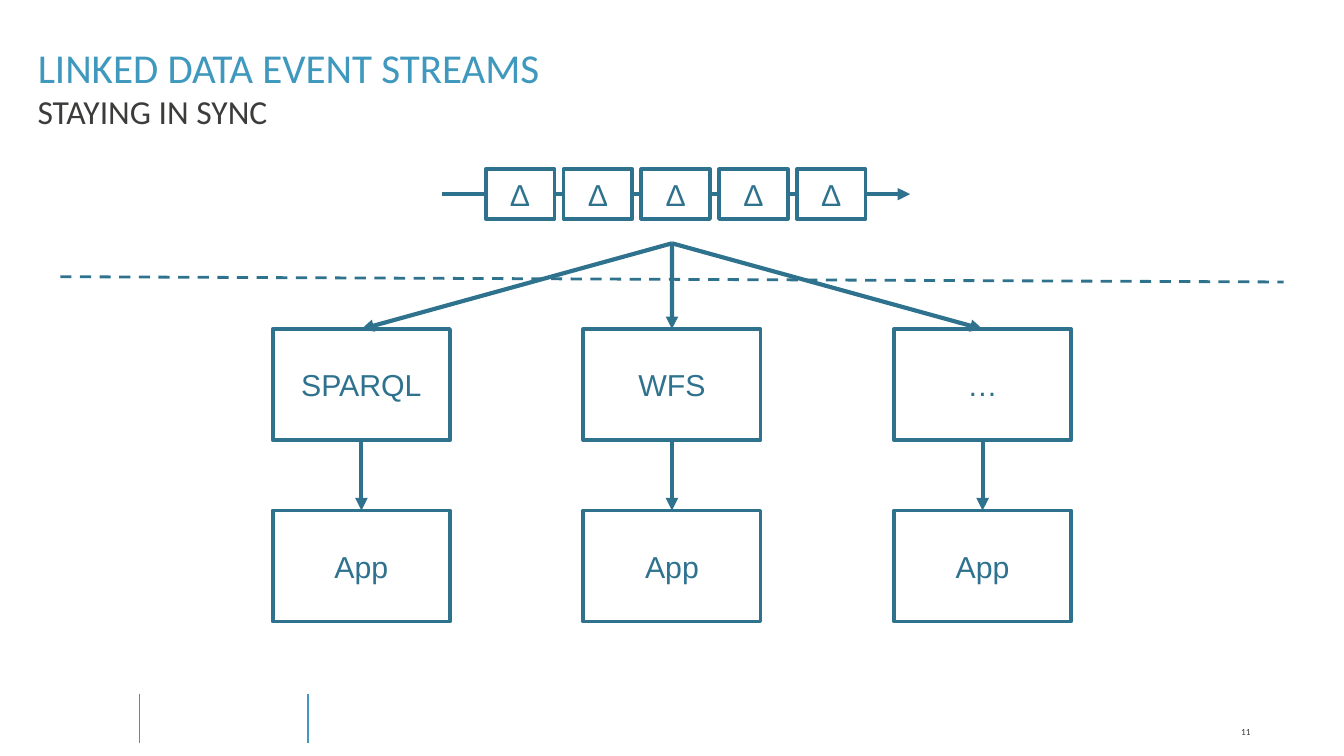
from lxml.etree import SubElement
from pptx import Presentation
from pptx.dml.color import RGBColor
from pptx.enum.dml import MSO_LINE
from pptx.enum.shapes import MSO_CONNECTOR, MSO_SHAPE
from pptx.enum.text import MSO_ANCHOR, PP_ALIGN
from pptx.oxml.ns import qn
from pptx.util import Cm, Pt

BLUE, TEAL, GREY, WHITE = "3F98BD", "2F728E", "3C3C3B", "FFFFFF"
rgb = RGBColor.from_string

prs = Presentation()
prs.slide_width, prs.slide_height = Cm(25.4), Cm(14.29)
s = prs.slides.add_slide(prs.slide_layouts[5])


def write(sp, text, size, font, color, align, anchor):
    tf = sp.text_frame
    tf.word_wrap = True
    tf.vertical_anchor = anchor
    p = tf.paragraphs[0]
    p.text = text
    p.alignment = align
    p.font.size, p.font.name = Pt(size), font
    p.font.color.rgb = rgb(color)


def connect(x1, y1, x2, y2, color=TEAL, width=2.25, arrow=True):
    c = s.shapes.add_connector(MSO_CONNECTOR.STRAIGHT, Cm(x1), Cm(y1), Cm(x2), Cm(y2))
    c.line.color.rgb = rgb(color)
    c.line.width = Pt(width)
    if arrow:
        SubElement(c.line._get_or_add_ln(), qn("a:tailEnd"), type="triangle")
    SubElement(c._element.spPr, qn("a:effectLst"))
    return c


# Footer rules and slide number
for x in (2.64, 5.82):
    connect(x, 13.11, x, 14.05, BLUE, 0.75, arrow=False)
number = s.shapes.add_textbox(Cm(22.35), Cm(13.59), Cm(2.39), Cm(0.48))
write(number, "11", 5, "Calibri", GREY, PP_ALIGN.CENTER, MSO_ANCHOR.MIDDLE)

# Title and subtitle
title = s.shapes.title
title.left, title.top, title.width, title.height = Cm(0.46), Cm(0.66), Cm(24.3), Cm(1.2)
write(title, "LINKED DATA EVENT STREAMS", 22, "Calibri", BLUE, PP_ALIGN.LEFT, MSO_ANCHOR.BOTTOM)
subtitle = s.shapes.add_textbox(Cm(0.46), Cm(1.6), Cm(24.3), Cm(1.02))
write(subtitle, "STAYING IN SYNC", 18, "Calibri", GREY, PP_ALIGN.LEFT, MSO_ANCHOR.TOP)

# Event stream axis and dashed boundary
connect(8.36, 3.67, 17.2, 3.67)
boundary = connect(1.14, 5.23, 24.26, 5.33, width=1.5, arrow=False)
boundary.line.dash_style = MSO_LINE.DASH

# Boxes: centre x, top, width, height, text
columns = [6.83, 12.7, 18.57]
services = ["SPARQL", "WFS", "…"]
boxes = [(x, 6.22, 3.35, 2.1, name) for x, name in zip(columns, services)]
boxes += [(x, 9.65, 3.35, 2.1, "App") for x in columns]
boxes += [(9.83 + 1.47 * i, 3.2, 1.3, 0.94, "Δ") for i in range(5)]
shapes = []
for x, top, w, h, text in boxes:
    sp = s.shapes.add_shape(MSO_SHAPE.RECTANGLE, Cm(x - w / 2), Cm(top), Cm(w), Cm(h))
    sp.shadow.inherit = False
    sp.fill.solid()
    sp.fill.fore_color.rgb = rgb(WHITE)
    sp.line.color.rgb = rgb(TEAL)
    sp.line.width = Pt(2)
    write(sp, text, 16.2, "Arial", TEAL, PP_ALIGN.CENTER, MSO_ANCHOR.MIDDLE)
    shapes.append(sp)

# Arrows from the stream to each service, and from each service to its app
for x, service, app in zip(columns, shapes[:3], shapes[3:6]):
    connect(12.7, 4.6, x, 6.22).end_connect(service, 0)
    link = connect(x, 8.32, x, 9.65)
    link.begin_connect(service, 2)
    link.end_connect(app, 0)

prs.save("out.pptx")
